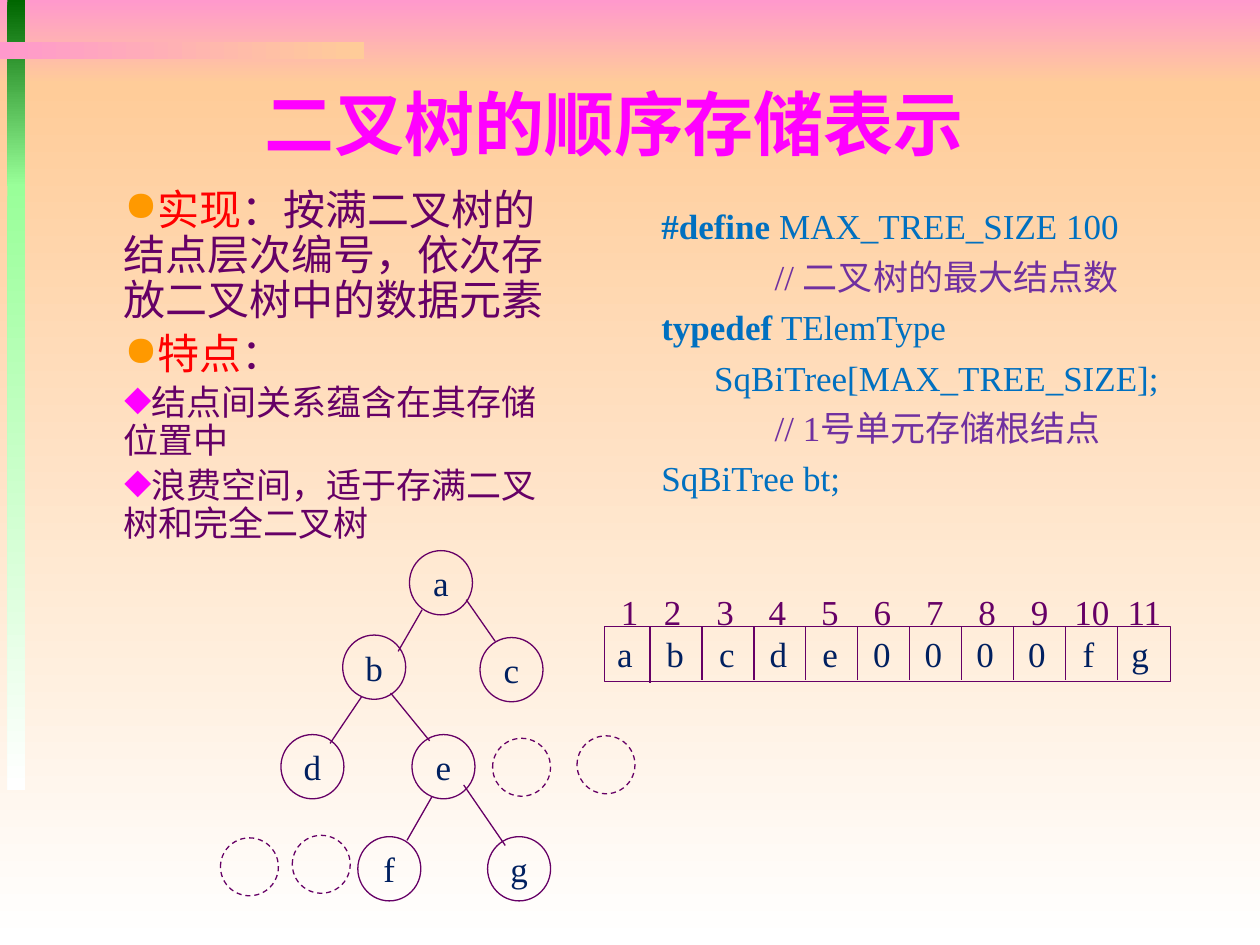
from lxml.etree import SubElement
from pptx import Presentation
from pptx.dml.color import RGBColor
from pptx.enum.dml import MSO_LINE
from pptx.enum.shapes import MSO_CONNECTOR, MSO_SHAPE
from pptx.enum.text import MSO_ANCHOR, PP_ALIGN
from pptx.oxml.ns import qn
from pptx.util import Inches, Pt

PURPLE, NAVY, BLUE, VIOLET = "660066", "002060", "0070C0", "7030A0"
RED, ORANGE, MAGENTA = "FF0000", "FF9900", "FF00FF"
SERIF, SANS, CJK = "Times New Roman", "Arial", "Noto Sans CJK SC"

NODES = {
    "a": (3.25, 4.37), "b": (2.72, 5.04), "c": (3.81, 5.06), "d": (2.23, 5.83),
    "e": (3.27, 5.83), "f": (2.84, 6.64), "g": (3.87, 6.64),
}
EDGES = [
    (3.35, 4.84, 3.16, 5.17), (2.87, 5.53, 2.62, 5.9), (3.7, 4.76, 3.93, 5.09),
    (3.1, 5.5, 3.41, 5.88), (3.68, 6.23, 4.01, 6.71), (3.43, 6.32, 3.23, 6.67),
]
EMPTY_NODES = [(3.91, 5.86), (4.58, 5.84), (1.75, 6.65), (2.32, 6.63)]
CELLS = "abcde0000fg"
POINTS = [
    ("●", ORANGE, 24, [("实现", RED), ("：按满二叉树的结点层次编号，依次存放二叉树中的数据元素", PURPLE)]),
    ("●", ORANGE, 24, [("特点", RED), ("：", PURPLE)]),
    ("◆", MAGENTA, 20, [("结点间关系蕴含在其存储位置中", PURPLE)]),
    ("◆", MAGENTA, 20, [("浪费空间，适于存满二叉树和完全二叉树", PURPLE)]),
]
CODE = [
    (0, [("#define", BLUE, True), (" MAX_TREE_SIZE 100", BLUE, False)]),
    (0.9, [("// 二叉树的最大结点数", VIOLET, False)]),
    (0, [("typedef ", BLUE, True), ("TElemType", BLUE, False)]),
    (0.42, [("SqBiTree[MAX_TREE_SIZE];", BLUE, False)]),
    (0.9, [("// 1号单元存储根结点", VIOLET, False)]),
    (0, [("SqBiTree bt;", BLUE, False)]),
]


def rgb(value):
    return RGBColor.from_string(value)


def add_run(p, text, size, font, color, bold=False):
    r = p.add_run()
    r.text = text
    r.font.size = Pt(size)
    r.font.name = font
    r.font.bold = bold
    r.font.color.rgb = rgb(color)
    SubElement(r.font._element, qn("a:ea"), typeface=CJK)


def set_indent(p, left, first=0):
    pPr = p._p.get_or_add_pPr()
    pPr.set("marL", str(Inches(left)))
    pPr.set("indent", str(Inches(first)))


def set_bullet(p, char, color):
    pPr = p._p.get_or_add_pPr()
    buClr = SubElement(pPr, qn("a:buClr"))
    SubElement(buClr, qn("a:srgbClr"), val=color)
    SubElement(pPr, qn("a:buChar"), char=char)


def set_tabs(p, first, step, count):
    tabs = SubElement(p._p.get_or_add_pPr(), qn("a:tabLst"))
    for i in range(count):
        SubElement(tabs, qn("a:tab"), pos=str(Inches(first + i * step)), algn="ctr")


def paragraphs(tf, items):
    for i, item in enumerate(items):
        yield (tf.add_paragraph() if i else tf.paragraphs[0]), item


def add_text_box(s, x, y, w, h):
    tf = s.shapes.add_textbox(Inches(x), Inches(y), Inches(w), Inches(h)).text_frame
    tf.word_wrap = True
    return tf


def add_gradient(s, x, y, w, h, start, end, angle=270):
    sp = s.shapes.add_shape(MSO_SHAPE.RECTANGLE, Inches(x), Inches(y), Inches(w), Inches(h))
    sp.shadow.inherit = False
    sp.line.fill.background()
    sp.fill.gradient()
    sp.fill.gradient_angle = angle
    for stop, color in zip(sp.fill.gradient_stops, (start, end)):
        stop.color.rgb = rgb(color)


def add_outline(s, kind, x, y, w, h):
    sp = s.shapes.add_shape(kind, Inches(x), Inches(y), Inches(w), Inches(h))
    sp.shadow.inherit = False
    sp.fill.background()
    sp.line.color.rgb = rgb(PURPLE)
    sp.line.width = Pt(0.75)
    return sp


def add_line(s, x1, y1, x2, y2):
    line = s.shapes.add_connector(
        MSO_CONNECTOR.STRAIGHT, Inches(x1), Inches(y1), Inches(x2), Inches(y2))
    line.line.color.rgb = rgb(PURPLE)
    line.line.width = Pt(0.75)
    SubElement(line._element.spPr, qn("a:effectLst"))


def add_node(s, label, x, y):
    tf = add_outline(s, MSO_SHAPE.OVAL, x, y, 0.5, 0.51).text_frame
    tf.word_wrap = False
    tf.vertical_anchor = MSO_ANCHOR.MIDDLE
    p = tf.paragraphs[0]
    p.alignment = PP_ALIGN.CENTER
    add_run(p, label, 20, SERIF, NAVY)


def fill_row(tf, values, first, step, color):
    tf.word_wrap = True
    tf.margin_right = 0
    tf.vertical_anchor = MSO_ANCHOR.MIDDLE
    p = tf.paragraphs[0]
    p.alignment = PP_ALIGN.LEFT
    set_tabs(p, first, step, len(values) - 1)
    add_run(p, "\t".join(values), 20, SERIF, color)


def add_background(s):
    add_gradient(s, 0, 0, 10, 0.67, "FF99CC", "FFCC99")
    add_gradient(s, 0, 0.67, 10, 6.83, "FFCC99", "FFFFFF")
    add_gradient(s, 0.06, 0, 0.14, 1.48, "006600", "99FF99")
    add_gradient(s, 0.06, 1.46, 0.14, 4.81, "99FF99", "FFFFFF")
    add_gradient(s, 0, 0.33, 2.89, 0.14, "FF99CC", "FFCC99", 0)


def add_title(s, text):
    p = add_text_box(s, 1, 0.59, 7.51, 0.77).paragraphs[0]
    set_indent(p, 1)
    p.space_before = Pt(8)
    add_run(p, text, 40, CJK, MAGENTA, True)


def add_points(s):
    tf = add_text_box(s, 0.78, 1.45, 3.76, 2.53)
    for p, (char, color, size, runs) in paragraphs(tf, POINTS):
        set_indent(p, 0.1, 0.01)
        p.line_spacing = 0.9
        p.space_before = Pt(size * 0.2)
        set_bullet(p, char, color)
        for text, run_color in runs:
            add_run(p, text, size, SANS, run_color)


def add_code(s):
    tf = add_text_box(s, 5.15, 1.51, 4.35, 2.49)
    for p, (left, runs) in paragraphs(tf, CODE):
        set_indent(p, left)
        p.line_spacing = 1.2
        for text, color, bold in runs:
            add_run(p, text, 20, SERIF, color, bold)


def add_tree(s):
    for label, (x, y) in NODES.items():
        add_node(s, label, x, y)
    for edge in EDGES:
        add_line(s, *edge)
    for x, y in EMPTY_NODES:
        add_outline(s, MSO_SHAPE.OVAL, x, y, 0.46, 0.46).line.dash_style = MSO_LINE.DASH


def add_array(s):
    row = add_outline(s, MSO_SHAPE.RECTANGLE, 4.8, 4.97, 4.49, 0.44)
    fill_row(row.text_frame, CELLS, 0.46, 0.41, NAVY)
    for i in range(len(CELLS) - 1):
        x = 5.16 + i * 0.412
        add_line(s, x, 4.98, x, 5.4 if i else 5.42)
    numbers = [str(i + 1) for i in range(len(CELLS))]
    fill_row(add_text_box(s, 4.83, 4.64, 4.51, 0.43), numbers, 0.41, 0.416, PURPLE)


def main():
    prs = Presentation()
    prs.slide_width, prs.slide_height = Inches(10), Inches(7.5)
    s = prs.slides.add_slide(prs.slide_layouts[6])
    add_background(s)
    add_points(s)
    add_tree(s)
    add_array(s)
    add_code(s)
    add_title(s, "二叉树的顺序存储表示")
    prs.save("out.pptx")


if __name__ == "__main__":
    main()
